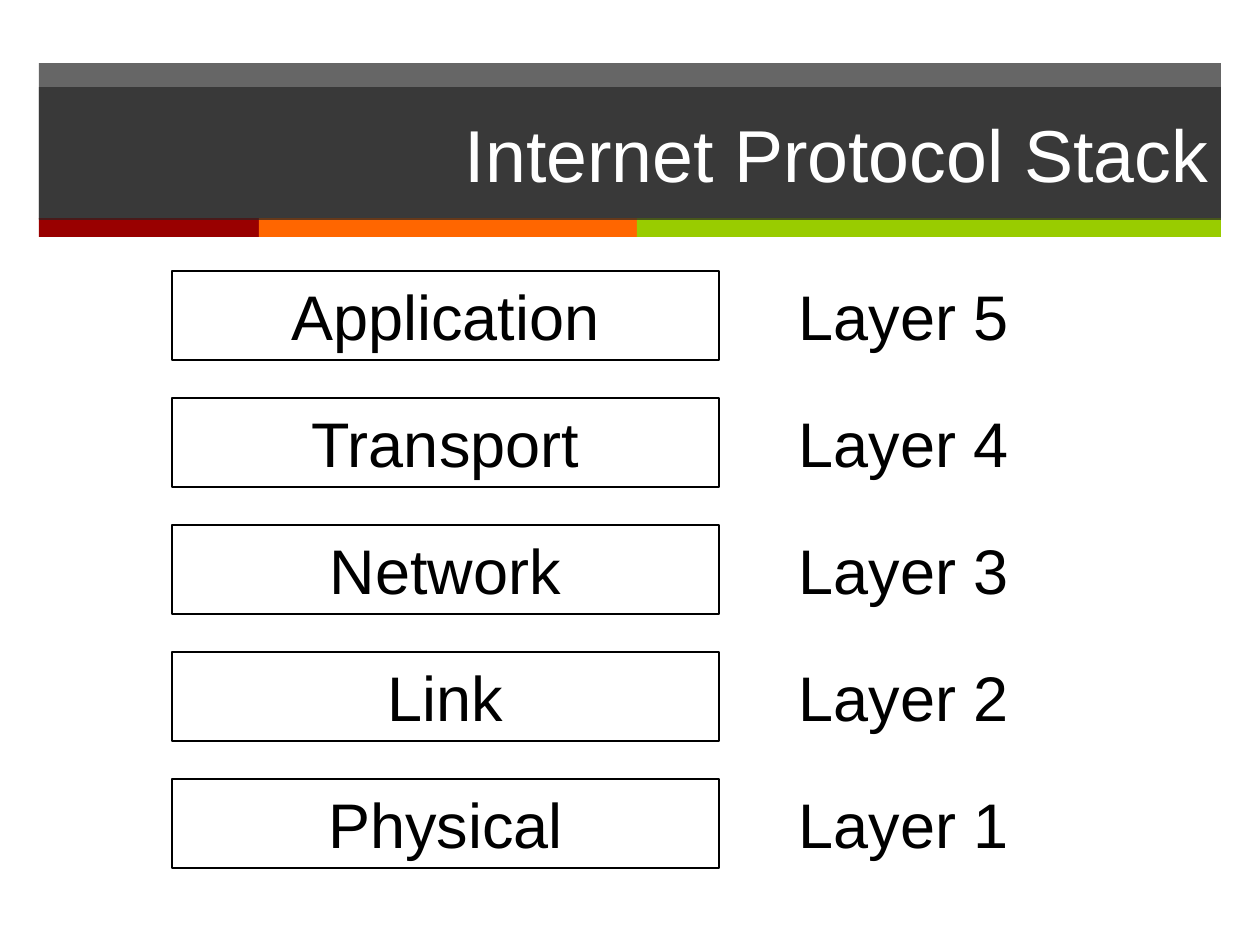
from typing import NamedTuple, Optional

from lxml.etree import SubElement
from pptx import Presentation
from pptx.dml.color import RGBColor
from pptx.enum.shapes import MSO_SHAPE
from pptx.enum.text import MSO_ANCHOR, MSO_AUTO_SIZE, PP_ALIGN
from pptx.oxml.ns import qn
from pptx.util import Emu, Pt

EMU_PER_PX = 914400 / 126
FONT = "Arial"
BLACK, WHITE, CHARCOAL = "000000", "FFFFFF", "262626"
BAND_OPACITY = 70

LAYERS = ["Application", "Transport", "Network", "Link", "Physical"]
FIRST_LAYER_TOP, LAYER_PITCH, LAYER_HEIGHT = 271, 127, 89
BOX_LEFT, BOX_WIDTH, LABEL_WIDTH = 172, 547, 369


class Rect(NamedTuple):
    left: int
    top: int
    width: int
    height: int


class Bar(NamedTuple):
    rect: Rect
    color: str
    opacity: int = 100


BARS = [
    Bar(Rect(39, 63, 1182, 156), CHARCOAL, BAND_OPACITY),
    Bar(Rect(39, 218, 220, 19), "990000"),
    Bar(Rect(259, 218, 378, 19), "FF6600"),
    Bar(Rect(637, 218, 584, 19), "99CC00"),
]
TITLE_RECT = Rect(39, 87, 1182, 133)


def px(length: int) -> Emu:
    return Emu(round(length * EMU_PER_PX))


def rgb(color: str) -> RGBColor:
    return RGBColor.from_string(color)


def place(shape, rect: Rect) -> None:
    shape.left, shape.top, shape.width, shape.height = map(px, rect)


def fill_shape(shape, color: str, opacity: int = 100) -> None:
    shape.fill.solid()
    shape.fill.fore_color.rgb = rgb(color)
    if opacity < 100:
        color_element = shape.fill._xPr.find(qn("a:solidFill"))[0]
        SubElement(color_element, qn("a:alpha"), val=str(opacity * 1000))


def write(shape, text: str, size: int, color: str, alignment: PP_ALIGN,
          anchor: MSO_ANCHOR) -> None:
    text_frame = shape.text_frame
    text_frame.text = text
    text_frame.word_wrap = True
    text_frame.auto_size = MSO_AUTO_SIZE.NONE
    text_frame.vertical_anchor = anchor
    paragraph = text_frame.paragraphs[0]
    paragraph.alignment = alignment
    font = paragraph.runs[0].font
    font.name, font.size = FONT, Pt(size)
    font.color.rgb = rgb(color)


def add_bar(slide, bar: Bar) -> None:
    shape = slide.shapes.add_shape(MSO_SHAPE.RECTANGLE, *map(px, bar.rect))
    shape.shadow.inherit = False
    shape.line.fill.background()
    fill_shape(shape, bar.color, bar.opacity)


def add_layer_text(slide, text: str, rect: Rect, outline: Optional[str] = None) -> None:
    if outline:
        shape = slide.shapes.add_shape(MSO_SHAPE.RECTANGLE, *map(px, rect))
        shape.shadow.inherit = False
        shape.fill.background()
        shape.line.color.rgb = rgb(outline)
        shape.line.width = Pt(0.75)
    else:
        shape = slide.shapes.add_textbox(*map(px, rect))
    write(shape, text, 36, BLACK, PP_ALIGN.CENTER, MSO_ANCHOR.TOP)


def add_title(slide) -> None:
    """Format the title and raise it above the translucent band."""
    title = slide.shapes.title
    place(title, TITLE_RECT)
    fill_shape(title, CHARCOAL, BAND_OPACITY)
    write(title, "Internet Protocol Stack", 42, WHITE, PP_ALIGN.RIGHT, MSO_ANCHOR.MIDDLE)
    slide.shapes._spTree.append(title._element)


def main() -> None:
    presentation = Presentation()
    presentation.slide_width, presentation.slide_height = px(1260), px(945)
    slide = presentation.slides.add_slide(presentation.slide_layouts[5])
    for bar in BARS:
        add_bar(slide, bar)
    add_title(slide)
    for index, name in enumerate(LAYERS):
        top = FIRST_LAYER_TOP + index * LAYER_PITCH
        box = Rect(BOX_LEFT, top, BOX_WIDTH, LAYER_HEIGHT)
        label = Rect(BOX_LEFT + BOX_WIDTH, top, LABEL_WIDTH, LAYER_HEIGHT)
        add_layer_text(slide, name, box, outline=BLACK)
        add_layer_text(slide, f"Layer {len(LAYERS) - index}", label)
    presentation.save("out.pptx")


if __name__ == "__main__":
    main()
